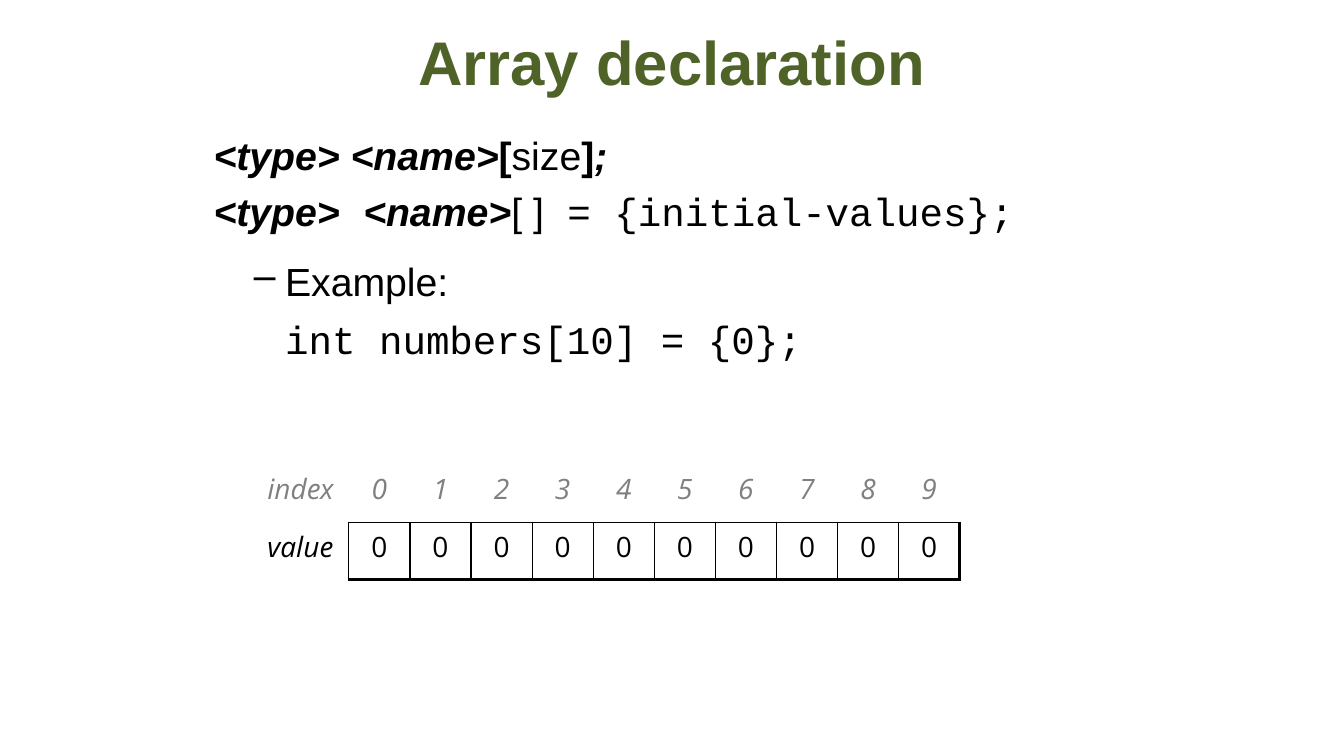
import dataclasses

import lxml.etree
import pptx
import pptx.dml.color
import pptx.enum.text
import pptx.oxml
import pptx.oxml.ns
import pptx.util


@dataclasses.dataclass(frozen=True)
class Theme:
    """Colours, fonts and type sizes."""
    title_color: str = "4F6228"
    ink: str = "000000"
    muted: str = "808080"
    sans: str = "Arial"
    mono: str = "Courier New"
    table_font: str = "Open Sans"
    title_size: int = 44
    body_size: int = 28
    table_size: int = 20


theme = Theme()
Inches, Pt = pptx.util.Inches, pptx.util.Pt
WIDTH, HEIGHT = Inches(13.33), Inches(7.5)

presentation = pptx.Presentation()
presentation.slide_width, presentation.slide_height = WIDTH, HEIGHT
slide = presentation.slides.add_slide(presentation.slide_layouts[6])


def add_run(paragraph, text, color, **format_values):
    """Add a run and set its font attributes."""
    run = paragraph.add_run()
    run.text = text
    run.font.color.rgb = pptx.dml.color.RGBColor.from_string(color)
    for attribute, value in format_values.items():
        setattr(run.font, attribute, value)


def add_text_frame(left, top, width, height):
    """Add a wrapping text box placed by shares of the slide."""
    box = slide.shapes.add_textbox(int(left * WIDTH), int(top * HEIGHT),
                                   int(width * WIDTH), int(height * HEIGHT))
    box.text_frame.word_wrap = True
    return box.text_frame


# Title
title_frame = add_text_frame(0.16, 0.02, 0.68, 0.12)
title_frame.vertical_anchor = pptx.enum.text.MSO_ANCHOR.MIDDLE
title_paragraph = title_frame.paragraphs[0]
title_paragraph.alignment = pptx.enum.text.PP_ALIGN.CENTER
add_run(title_paragraph, "Array declaration", theme.title_color,
        name=theme.sans, size=Pt(theme.title_size), bold=True)

# Declaration syntax and example: (margin, indent, space before, bullet, runs)
placeholder = {"name": theme.sans, "bold": True, "italic": True}
symbol = {"name": theme.sans, "bold": True}
plain = {"name": theme.sans}
code = {"name": theme.mono}
body_lines = [
    (0.41, -0.31, 6, None, [("<type> <name>", placeholder), ("[", symbol),
                            ("size", plain), ("]", symbol), (";", placeholder)]),
    (0.41, -0.31, 6.5, None, [("<type>", placeholder), (" ", code),
                              ("<name>", placeholder), ("[ ]", plain),
                              (" = {initial-values};", code)]),
    (0.81, -0.31, 16, "\u2013", [("Example:", plain)]),
    (0.81, 0, 8.5, None, [("int numbers[10] = {0};", code)]),
]
body_frame = add_text_frame(0.144, 0.167, 0.73, 0.74)
for number, (margin, indent, space, bullet, runs) in enumerate(body_lines):
    paragraph = body_frame.add_paragraph() if number else body_frame.paragraphs[0]
    paragraph.space_before = Pt(space)
    properties = paragraph._p.get_or_add_pPr()
    properties.set("marL", str(Inches(margin)))
    properties.set("indent", str(Inches(indent)))
    if bullet:
        mark = lxml.etree.SubElement(properties, pptx.oxml.ns.qn("a:buChar"))
        mark.set("char", bullet)
    for text, format_values in runs:
        add_run(paragraph, text, theme.ink, size=Pt(theme.body_size), **format_values)

# Table of indexes and values
COUNT = 10
LABEL_COLUMN, VALUE_COLUMN, ROW = Inches(0.96), Inches(0.606), Inches(0.57)
table_rows = [["index", *range(COUNT)], ["value"] + [0] * COUNT]
table = slide.shapes.add_table(
    len(table_rows), COUNT + 1, Inches(2.5), Inches(4.61),
    LABEL_COLUMN + COUNT * VALUE_COLUMN, len(table_rows) * ROW).table
table.first_row = table.horz_banding = False
for position, column in enumerate(table.columns):
    column.width = VALUE_COLUMN if position else LABEL_COLUMN

for row_number, values in enumerate(table_rows):
    for column_number, value in enumerate(values):
        cell = table.cell(row_number, column_number)
        paragraph = cell.text_frame.paragraphs[0]
        paragraph.alignment = pptx.enum.text.PP_ALIGN.CENTER
        boxed = row_number == 1 and column_number > 0
        add_run(paragraph, str(value), theme.ink if row_number else theme.muted,
                name=theme.table_font, size=Pt(theme.table_size), italic=not boxed)

        borders = dict.fromkeys("LRTB", 0)
        if boxed:
            borders = {"L": 1, "R": 2.25 if column_number == COUNT else 1,
                       "T": 1, "B": 2.25}
        elif row_number:
            borders["R"] = 1
        elif column_number:
            borders["B"] = 1
        cell_properties = cell._tc.get_or_add_tcPr()
        for side, weight in borders.items():
            paint = (f'<a:solidFill><a:srgbClr val="{theme.ink}"/></a:solidFill>'
                     if weight else "<a:noFill/>")
            cell_properties.append(pptx.oxml.parse_xml(
                f'<a:ln{side} {pptx.oxml.ns.nsdecls("a")} w="{Pt(weight)}">'
                f"{paint}</a:ln{side}>"))
        cell.fill.background()

presentation.save("out.pptx")
